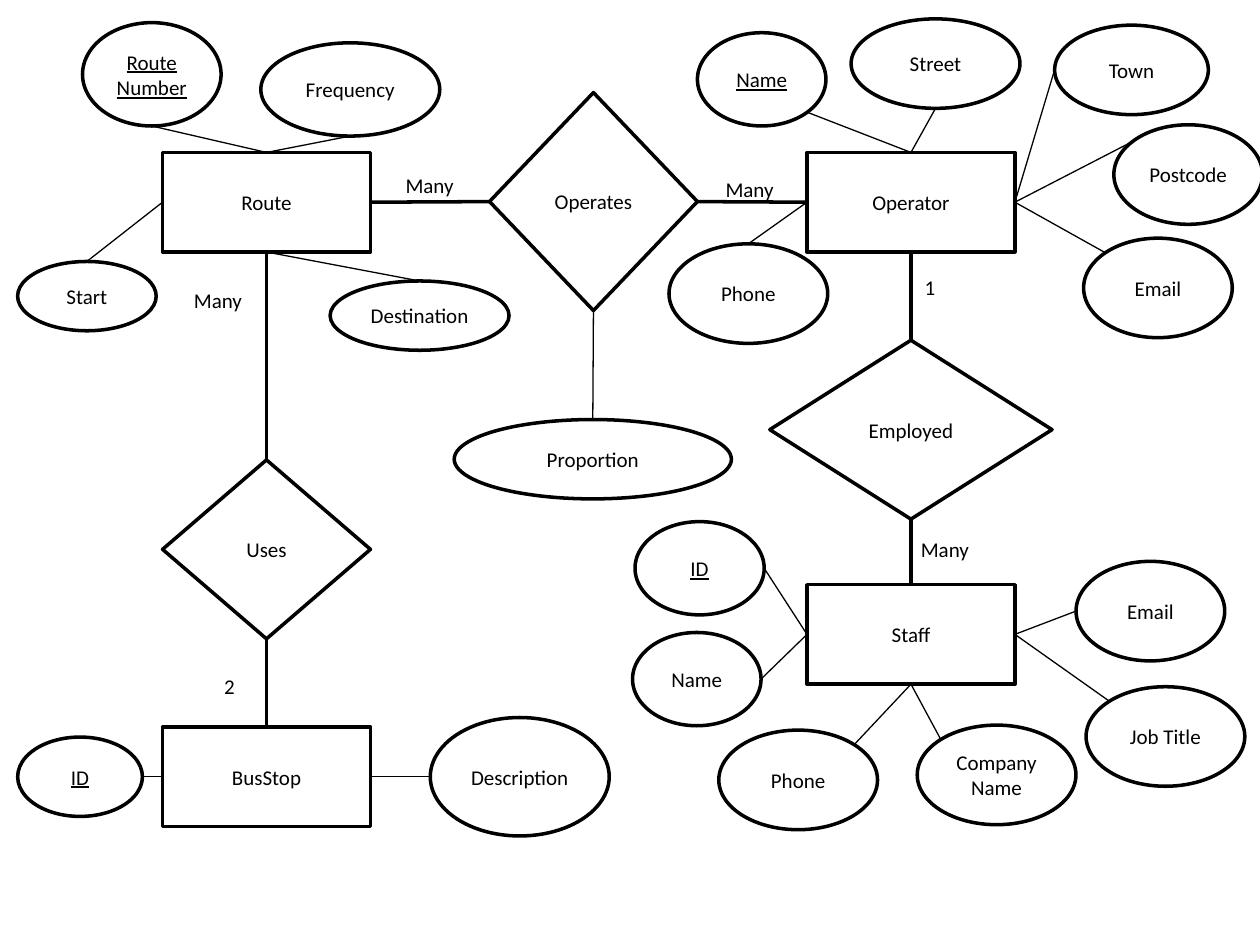
from lxml.etree import SubElement
from pptx import Presentation
from pptx.dml.color import RGBColor
from pptx.enum.shapes import MSO_CONNECTOR, MSO_SHAPE
from pptx.enum.text import MSO_ANCHOR, PP_ALIGN
from pptx.oxml.ns import qn
from pptx.util import Inches, Pt

BLACK = RGBColor(0, 0, 0)
WHITE = RGBColor(255, 255, 255)
COLUMNS, ROWS = 100, 75
NEAR, FAR = 0.15, 0.85
SIDES = {
    "top": (0.5, 0), "bottom": (0.5, 1), "left": (0, 0.5), "right": (1, 0.5),
    "top left": (NEAR, NEAR), "top right": (FAR, NEAR),
    "bottom left": (NEAR, FAR), "bottom right": (FAR, FAR),
}

ENTITIES = {
    "Route": (12.9, 12.1), "Operator": (64.05, 12.1),
    "BusStop": (12.9, 57.7), "Staff": (64.05, 46.4),
}
ENTITY_SIZE = (16.5, 7.9)

RELATIONSHIPS = [
    ("Operates", (38.85, 7.35, 16.5, 17.3),
     [("Route", "right", "left"), ("Operator", "left", "right")]),
    ("Uses", (12.9, 36.5, 16.5, 14.2),
     [("Route", "bottom", "top"), ("BusStop", "top", "bottom")]),
    ("Employed", (61.1, 27, 22.4, 14.2),
     [("Operator", "bottom", "top"), ("Staff", "top", "bottom")]),
]

ATTRIBUTES = [
    ("Route", "top", "Route\nNumber", (6.55, 1.8, 11, 8.2), "bottom", True),
    ("Route", "top", "Frequency", (20.7, 3.4, 14.2, 7.4), "bottom", False),
    ("Route", "left", "Start", (1.4, 20.75, 11, 5.5), "top", False),
    ("Route", "bottom", "Destination", (26.2, 22.3, 14.2, 5.5), "top", False),
    ("Operates", "bottom", "Proportion", (36.05, 33.3, 22, 6.3), "top", False),
    ("Operator", "top", "Name", (55.35, 2.6, 10.2, 7.4), "bottom right", True),
    ("Operator", "top", "Street", (67.55, 1.5, 13.4, 7.1), "bottom", False),
    ("Operator", "right", "Town", (83.7, 2, 12.2, 7.1), "left", False),
    ("Operator", "right", "Postcode", (88.4, 9.9, 11.8, 7.9), "top left", False),
    ("Operator", "right", "Email", (86, 18.9, 11.8, 7.9), "top left", False),
    ("Operator", "left", "Phone", (53.1, 19.35, 12.6, 7.9), "top", False),
    ("BusStop", "left", "ID", (1.4, 58.5, 9.9, 6.3), "right", True),
    ("BusStop", "right", "Description", (34.15, 56.95, 14.2, 9.4), "left", False),
    ("Staff", "left", "ID", (50.4, 41.4, 10.25, 7.4), "right", True),
    ("Staff", "left", "Name", (50.2, 50.2, 10.2, 7.4), "right", False),
    ("Staff", "bottom", "Phone", (57.05, 57.95, 12.6, 7.9), "top right", False),
    ("Staff", "bottom", "Company\nName", (72.8, 57.55, 12.6, 7.9), "top left", False),
    ("Staff", "right", "Email", (85.4, 44.55, 11.8, 7.9), "left", False),
    ("Staff", "right", "Job Title", (86.2, 54.5, 12.6, 7.9), "top left", False),
]

CARDINALITIES = [
    ("Many", 31.2, 13.2), ("Many", 56.6, 13.5), ("Many", 14.4, 22.3),
    ("2", 16.8, 53), ("1", 72.4, 21.3), ("Many", 72.1, 42.1),
]


class Diagram:
    font = "Calibri"
    size = Pt(12)
    thick, thin = Pt(2), Pt(0.75)

    def __init__(self, prs):
        self.slide = prs.slides.add_slide(prs.slide_layouts[6])
        self.column = prs.slide_width / COLUMNS
        self.row = prs.slide_height / ROWS

    def place(self, x, y):
        return round(x * self.column), round(y * self.row)

    def set_text(self, sp, text, underline=False, align=PP_ALIGN.CENTER):
        tf = sp.text_frame
        tf.text = text
        tf.word_wrap = False
        for p in tf.paragraphs:
            p.alignment = align
            for r in p.runs:
                r.font.name = self.font
                r.font.size = self.size
                r.font.color.rgb = BLACK
                if underline:
                    r.font.underline = True

    def node(self, kind, text, box, underline=False):
        x, y, w, h = box
        sp = self.slide.shapes.add_shape(kind, *self.place(x, y), *self.place(w, h))
        sp.shadow.inherit = False
        sp.fill.solid()
        sp.fill.fore_color.rgb = WHITE
        sp.line.color.rgb = BLACK
        sp.line.width = self.thick
        sp.text_frame.vertical_anchor = MSO_ANCHOR.MIDDLE
        self.set_text(sp, text, underline)
        return sp

    def link(self, start, start_side, end, end_side, width):
        points = []
        for sp, side in ((start, start_side), (end, end_side)):
            across, down = SIDES[side]
            points += [round(sp.left + across * sp.width),
                       round(sp.top + down * sp.height)]
        line = self.slide.shapes.add_connector(MSO_CONNECTOR.STRAIGHT, *points)
        line.line.color.rgb = BLACK
        line.line.width = width
        SubElement(line._element.spPr, qn("a:effectLst"))

    def label(self, text, x, y):
        width = 5.9 if len(text) > 1 else 2.9
        sp = self.slide.shapes.add_textbox(*self.place(x, y), *self.place(width, 3))
        self.set_text(sp, text, align=PP_ALIGN.LEFT)


def main():
    prs = Presentation()
    prs.slide_width, prs.slide_height = Inches(10), Inches(7.5)
    diagram = Diagram(prs)
    nodes = {}
    for name, corner in ENTITIES.items():
        nodes[name] = diagram.node(MSO_SHAPE.RECTANGLE, name, corner + ENTITY_SIZE)
    for name, box, ends in RELATIONSHIPS:
        nodes[name] = diagram.node(MSO_SHAPE.DIAMOND, name, box)
        for entity, entity_side, side in ends:
            diagram.link(nodes[entity], entity_side, nodes[name], side, diagram.thick)
    for owner, owner_side, name, box, side, is_key in ATTRIBUTES:
        sp = diagram.node(MSO_SHAPE.OVAL, name, box, is_key)
        diagram.link(sp, side, nodes[owner], owner_side, diagram.thin)
    for cardinality in CARDINALITIES:
        diagram.label(*cardinality)
    prs.save("out.pptx")


if __name__ == "__main__":
    main()
